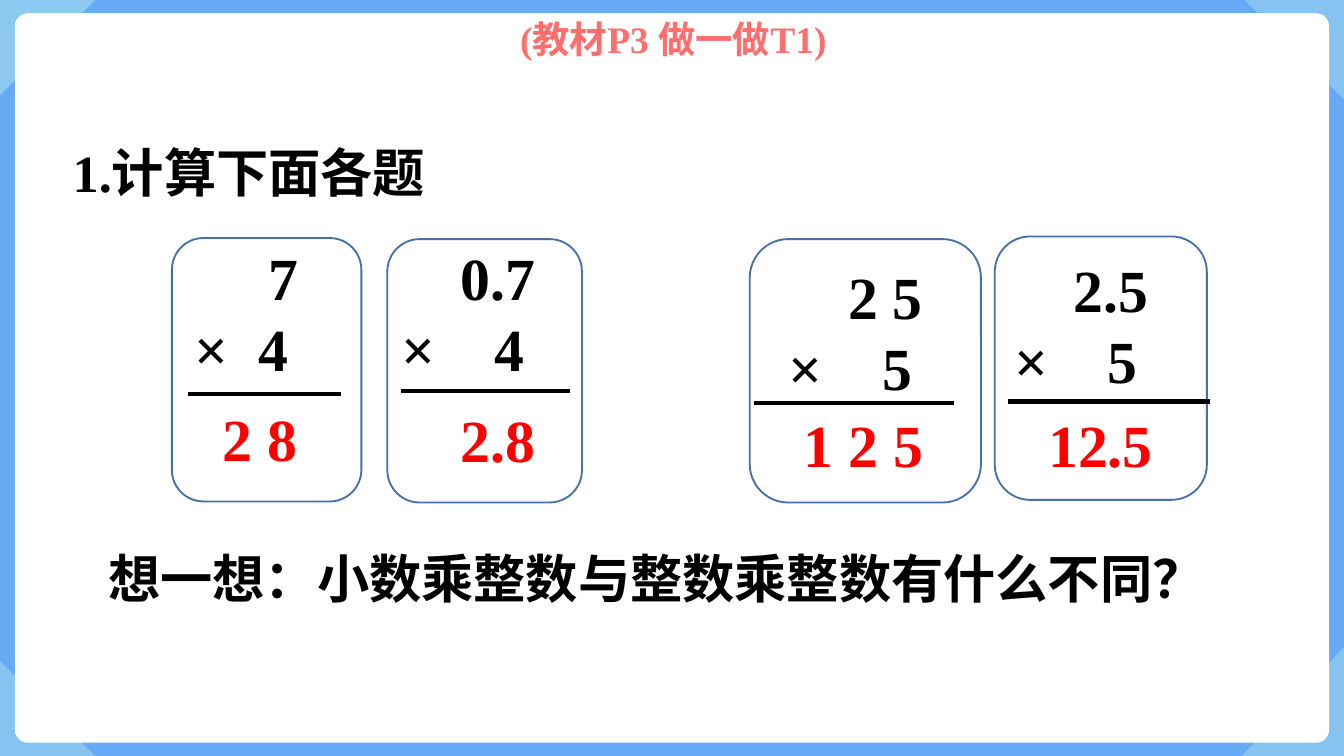
from dataclasses import dataclass

from pptx import Presentation
from pptx.dml.color import RGBColor
from pptx.enum.shapes import MSO_CONNECTOR, MSO_SHAPE
from pptx.enum.text import MSO_ANCHOR, MSO_AUTO_SIZE, PP_ALIGN
from pptx.oxml import parse_xml
from pptx.oxml.ns import nsdecls, qn
from pptx.util import Cm, Pt

ROUNDED = MSO_SHAPE.ROUNDED_RECTANGLE
STRAIGHT = MSO_CONNECTOR.STRAIGHT
LEFT = PP_ALIGN.LEFT
TOP, MIDDLE = MSO_ANCHOR.TOP, MSO_ANCHOR.MIDDLE
NO_AUTOFIT = MSO_AUTO_SIZE.NONE

FONT = "Times New Roman"
BLACK, WHITE, RED, CORAL = "000000", "FFFFFF", "FF0000", "FF6D6D"
SKY, PALE, CARD_LINE = "66A9F5", "9BD3EF", "476FAA"
SLIDE_W, SLIDE_H = 25.4, 14.29
CARD_H = 4.98
STEP = 0.28  # width of one digit space in the sums


@dataclass(frozen=True)
class Line:
    """A paragraph: left margin and first-line start, in centimetres."""
    text: str
    margin: float = 0
    first: float = 0


@dataclass(frozen=True)
class Corner:
    x: float
    y: float
    dx: float
    dy: float
    opacity: int


@dataclass(frozen=True)
class Sum:
    """A written multiplication; indents are counted in digit spaces."""
    card: tuple[float, float, float]  # left, top, width
    text_at: tuple[float, float]
    rule: tuple[float, float, float]  # start, end, height on the slide
    answer_at: tuple[float, float]
    top: str
    bottom: str
    answer: str
    top_indent: int
    sign_indent: int
    bottom_indent: float
    answer_indent: int = 0


CORNERS = [
    Corner(0, 0, 1.8, 1.8, 75),
    Corner(SLIDE_W, 0, -1.88, 1.88, 62),
    Corner(0, SLIDE_H, 1.8, -1.8, 62),
    Corner(SLIDE_W, SLIDE_H, -1.93, -2.06, 62),
]

SUMS = [
    Sum((3.25, 4.5, 3.58), (2.87, 4.42), (3.56, 6.45, 7.44), (3.12, 7.47),
        "7", "4", "2 8", 7, 2, 6.3, 3),
    Sum((7.32, 4.52, 3.68), (6.78, 4.42), (7.57, 10.77, 7.39), (7.62, 7.49),
        "0.7", "4", "2.8", 6, 2, 8.3, 3),
    Sum((14.17, 4.52, 4.37), (14.38, 4.78), (14.25, 18.03, 7.62), (14.94, 7.59),
        "2 5", "5", "1 2 5", 5, 1, 7.3),
    Sum((18.8, 4.47, 4.01), (18.36, 4.65), (19.05, 22.86, 7.59), (19.56, 7.59),
        "2.5", "5", "12.5", 6, 2, 8.3),
]


def rgb(color: str) -> RGBColor:
    return RGBColor.from_string(color)


def write(shape, *lines: Line, size: float, color: str = BLACK,
          anchor=TOP, spacing: float = 1.0) -> None:
    tf = shape.text_frame
    tf.word_wrap = True
    tf.auto_size = NO_AUTOFIT
    tf.vertical_anchor = anchor
    for i, line in enumerate(lines):
        p = tf.paragraphs[0] if i == 0 else tf.add_paragraph()
        p.alignment = LEFT
        p.line_spacing = spacing
        pPr = p._p.get_or_add_pPr()
        pPr.set("marL", str(Cm(line.margin)))
        pPr.set("indent", str(Cm(line.first - line.margin)))
        r = p.add_run()
        r.text = line.text
        r.font.name = FONT
        r.font.size = Pt(size)
        r.font.bold = True
        r.font.color.rgb = rgb(color)


def add_text(s, x: float, y: float, w: float, h: float, *lines: Line, **fmt) -> None:
    write(s.shapes.add_textbox(Cm(x), Cm(y), Cm(w), Cm(h)), *lines, **fmt)


def add_panel(s, x: float, y: float, w: float, h: float,
              radius: float | None = None, line: str | None = None) -> None:
    sp = s.shapes.add_shape(ROUNDED, Cm(x), Cm(y), Cm(w), Cm(h))
    sp.shadow.inherit = False
    sp.fill.solid()
    sp.fill.fore_color.rgb = rgb(WHITE)
    if radius is not None:
        sp.adjustments[0] = radius
    if line:
        sp.line.color.rgb = rgb(line)
        sp.line.width = Pt(1)
    else:
        sp.line.fill.background()


def add_corner(s, c: Corner) -> None:
    fb = s.shapes.build_freeform(Cm(c.x), Cm(c.y))
    fb.add_line_segments([(Cm(c.x + c.dx), Cm(c.y)), (Cm(c.x), Cm(c.y + c.dy))])
    sp = fb.convert_to_shape()
    sp.shadow.inherit = False
    sp.line.fill.background()
    sp.fill.solid()
    sp.fill.fore_color.rgb = rgb(PALE)
    color = sp._element.spPr.find(qn("a:solidFill"))[0]
    color.append(parse_xml(f'<a:alpha {nsdecls("a")} val="{c.opacity * 1000}"/>'))


def add_rule(s, start: float, end: float, y: float) -> None:
    cx = s.shapes.add_connector(STRAIGHT, Cm(start), Cm(y), Cm(end), Cm(y))
    cx.line.color.rgb = rgb(BLACK)
    cx.line.width = Pt(2.25)
    cx._element.spPr.append(parse_xml(f'<a:effectLst {nsdecls("a")}/>'))


def add_sum(s, m: Sum) -> None:
    add_panel(s, *m.card, CARD_H, line=CARD_LINE)
    indent = m.top_indent * STEP
    add_text(s, *m.text_at, 5.2, 3,
             Line(m.top, indent, indent),
             Line(f"×\t{m.bottom}", m.bottom_indent * STEP, m.sign_indent * STEP),
             size=32)
    add_rule(s, *m.rule)
    indent = m.answer_indent * STEP
    add_text(s, *m.answer_at, 3.4, 1.63, Line(m.answer, indent, indent),
             size=32, color=RED)


def main() -> None:
    prs = Presentation()
    prs.slide_width, prs.slide_height = Cm(SLIDE_W), Cm(SLIDE_H)
    s = prs.slides.add_slide(prs.slide_layouts[5])
    s.background.fill.solid()
    s.background.fill.fore_color.rgb = rgb(SKY)

    for corner in CORNERS:
        add_corner(s, corner)
    add_panel(s, 0.28, 0.25, 24.84, 13.79, radius=0.018)

    title = s.shapes.title
    title.left, title.top, title.width, title.height = Cm(1.12), Cm(2.46), Cm(11.4), Cm(1.55)
    write(title, Line("1.计算下面各题"), size=28, anchor=MIDDLE)
    s.shapes._spTree.append(title._element)  # in front of the white panel

    for m in SUMS:
        add_sum(s, m)

    add_text(s, 9.58, 0.18, 6.6, 1.12, Line("(教材P3 做一做T1)"), size=20, color=CORAL)
    add_text(s, 1.8, 9.96, 21.79, 1.68,
             Line("想一想：小数乘整数与整数乘整数有什么不同？"), size=28, spacing=1.2)
    prs.save("out.pptx")


if __name__ == "__main__":
    main()
